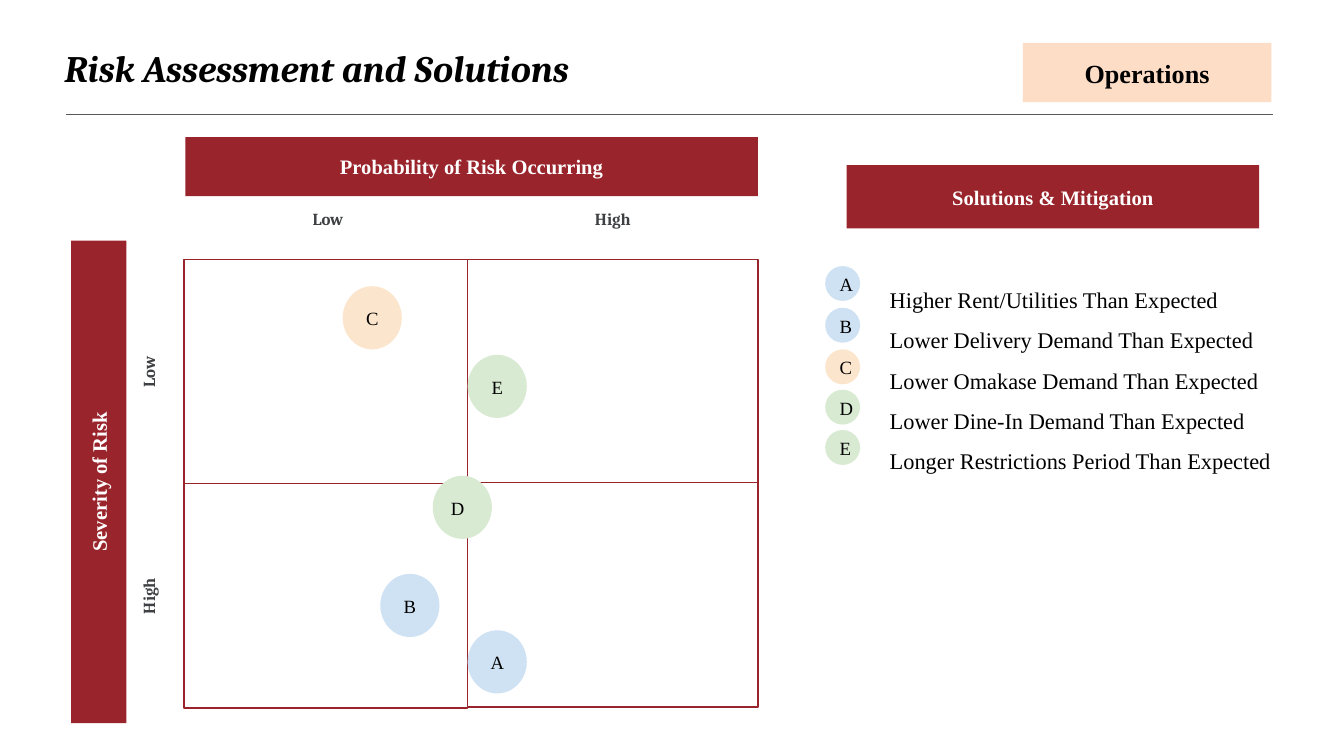
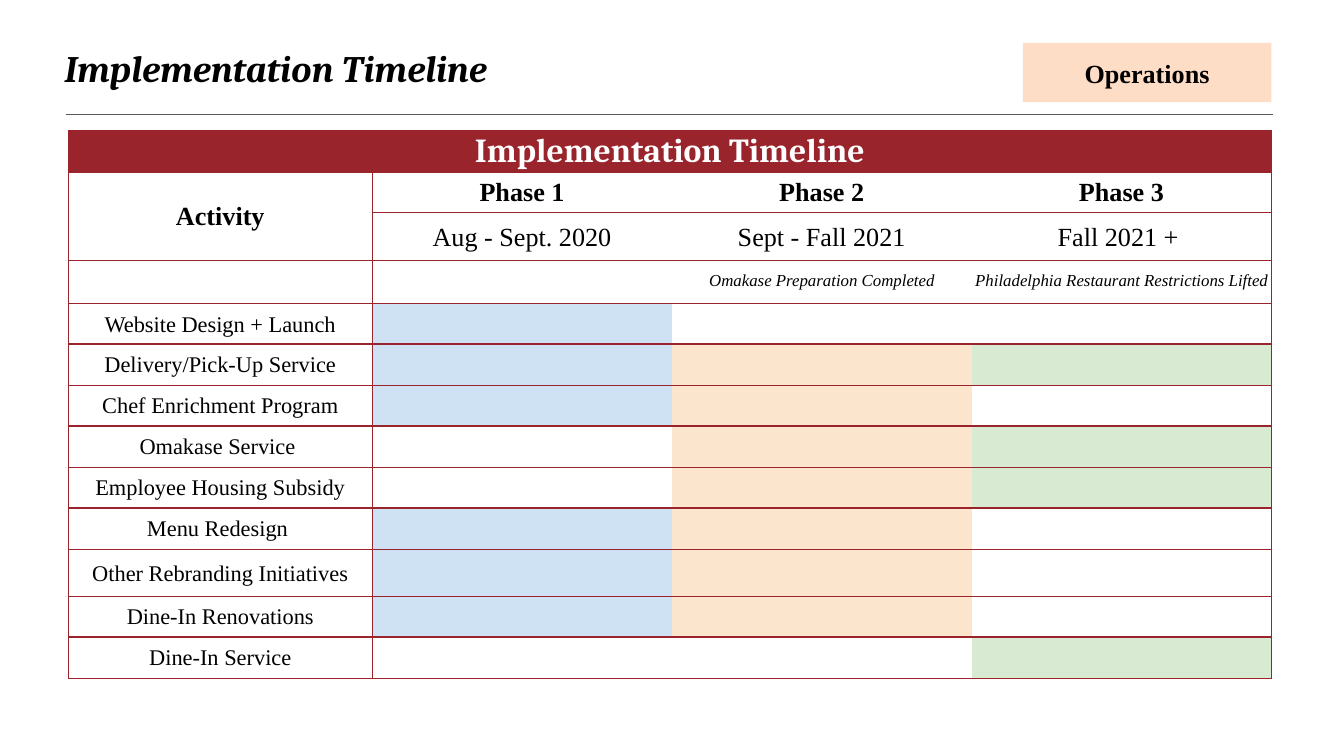
from lxml.etree import SubElement
from pptx import Presentation
from pptx.dml.color import RGBColor
from pptx.enum.shapes import MSO_CONNECTOR, MSO_SHAPE
from pptx.enum.text import MSO_ANCHOR, MSO_AUTO_SIZE, PP_ALIGN
from pptx.oxml.ns import qn
from pptx.util import Inches, Pt

COLORS = {
    "red": "99242C", "peach": "FEDDC7", "blue": "CFE2F3", "orange": "FCE5CD",
    "green": "D9EAD3", "white": "FFFFFF", "black": "000000", "label": "3E4043",
    "rule": "595959",
}
SERIF, HEADING = "Times New Roman", "Cambria"
NO_GRID_STYLE = "{2D5ABB26-0587-4C30-8999-92F81FD0307C}"

SECTION = "Operations"
RISKS = [
    ("A", "Higher Rent/Utilities Than Expected", "blue", (3.48, 4.69), 1.98),
    ("B", "Lower Delivery Demand Than Expected", "blue", (2.83, 4.27), 2.29),
    ("C", "Lower Omakase Demand Than Expected", "orange", (2.55, 2.13), 2.6),
    ("D", "Lower Dine-In Demand Than Expected", "green", (3.22, 3.54), 2.9),
    ("E", "Longer Restrictions Period Than Expected", "green", (3.48, 2.64), 3.2),
]
BANNERS = [
    ("Probability of Risk Occurring", (1.38, 1.02, 4.26, 0.44), 0),
    ("Severity of Risk", (-1.06, 3.38, 3.59, 0.41), 270),
    ("Solutions & Mitigation", (6.3, 1.23, 3.07, 0.47), 0),
]
AXIS_LABELS = [
    ("Low", (1.37, 1.55, 2.14, 0.29), 0),
    ("High", (3.49, 1.55, 2.14, 0.29), 0),
    ("Low", (0.38, 2.58, 1.67, 0.37), 270),
    ("High", (0.38, 4.25, 1.67, 0.37), 270),
]
QUADRANTS = [
    (1.37, 1.93, 2.16, 1.67),
    (3.48, 1.93, 2.16, 1.67),
    (1.37, 3.6, 2.11, 1.67),
    (3.48, 3.59, 2.16, 1.67),
]

TIMELINE_TITLE = "Implementation Timeline"
TIMELINE_HEADER = [
    [TIMELINE_TITLE, "", "", ""],
    ["Activity", "Phase 1", "Phase 2", "Phase 3"],
    ["", "Aug - Sept. 2020", "Sept - Fall 2021", "Fall 2021 + "],
    ["", "", "Omakase Preparation Completed", "Philadelphia Restaurant Restrictions Lifted"],
]
HEADER_FORMATS = [
    {"size": 18, "font": HEADING, "color": "white", "bold": True},
    {"size": 14, "bold": True},
    {"size": 14},
    {"size": 9, "italic": True},
]
ACTIVITIES = [
    ("Website Design + Launch", {1}),
    ("Delivery/Pick-Up Service", {1, 2, 3}),
    ("Chef Enrichment Program", {1, 2}),
    ("Omakase Service ", {2, 3}),
    ("Employee Housing Subsidy", {2, 3}),
    ("Menu Redesign ", {1, 2}),
    ("Other Rebranding Initiatives", {1, 2}),
    ("Dine-In Renovations", {1, 2}),
    ("Dine-In Service", {3}),
]
PHASE_COLORS = {1: "blue", 2: "orange", 3: "green"}
COLUMN_WIDTHS = [2.26, 2.23, 2.23, 2.23]
ROW_HEIGHTS = [0.31, 0.3, 0.36, 0.32] + [0.3, 0.31] * 3 + [0.35, 0.3, 0.31]


def rgb(name):
    return RGBColor.from_string(COLORS[name])


def write_text(frame, text, size=12, font=SERIF, color="black", bold=False,
               italic=False, align=PP_ALIGN.CENTER, spacing=None):
    for index, line in enumerate(text.split("\n")):
        paragraph = frame.paragraphs[0] if index == 0 else frame.add_paragraph()
        paragraph.alignment = align
        paragraph.space_before = Pt(0)
        if spacing:
            paragraph.line_spacing = spacing
        run = paragraph.add_run()
        run.text = line
        run.font.size = Pt(size)
        run.font.name = font
        run.font.bold = bold
        run.font.italic = italic
        run.font.color.rgb = rgb(color)


def set_frame(frame, inset, anchor=MSO_ANCHOR.MIDDLE):
    frame.word_wrap = True
    frame.auto_size = MSO_AUTO_SIZE.NONE
    frame.vertical_anchor = anchor
    frame.margin_left = frame.margin_right = Inches(inset)
    frame.margin_top = frame.margin_bottom = Inches(inset)


def place(shape, box):
    shape.left, shape.top, shape.width, shape.height = map(Inches, box)


def add_block(slide, box, fill, text="", inset=0, kind=MSO_SHAPE.RECTANGLE,
              line=None, rotation=0, **text_format):
    shape = slide.shapes.add_shape(kind, *map(Inches, box))
    shape.shadow.inherit = False
    shape.rotation = rotation
    shape.fill.solid()
    shape.fill.fore_color.rgb = rgb(fill)
    if line:
        shape.line.color.rgb = rgb(line)
        shape.line.width = Pt(0.75)
    else:
        shape.line.fill.background()
    if text:
        set_frame(shape.text_frame, inset)
        write_text(shape.text_frame, text, **text_format)


def add_marker(slide, letter, fill, box):
    align = PP_ALIGN.LEFT if letter == "D" else PP_ALIGN.CENTER
    add_block(slide, box, fill, letter, inset=0.07, kind=MSO_SHAPE.OVAL,
              size=10, align=align, spacing=1.06)


def add_slide(presentation, layout_index, title):
    slide = presentation.slides.add_slide(presentation.slide_layouts[layout_index])
    place(slide.shapes.title, (0.38, 0.25, 6.83, 0.54))
    set_frame(slide.shapes.title.text_frame, 0.1)
    write_text(slide.shapes.title.text_frame, title, size=20, font=HEADING,
               bold=True, italic=True, align=PP_ALIGN.LEFT, spacing=0.9)
    rule = slide.shapes.add_connector(
        MSO_CONNECTOR.STRAIGHT, Inches(0.49), Inches(0.85), Inches(9.47), Inches(0.85))
    rule.line.color.rgb = rgb("rule")
    rule.line.width = Pt(0.75)
    SubElement(rule._element.spPr, qn("a:effectLst"))
    add_block(slide, (7.61, 0.32, 1.85, 0.44), "peach", SECTION, inset=0.1, size=14, bold=True)
    return slide


def build_risk_slide(presentation):
    slide = add_slide(presentation, 1, "Risk Assessment and Solutions")
    risk_list = slide.placeholders[1]
    place(risk_list, (6.52, 1.93, 3.14, 1.61))
    set_frame(risk_list.text_frame, 0.1, MSO_ANCHOR.TOP)
    write_text(risk_list.text_frame, "\n".join(risk[1] for risk in RISKS),
               align=PP_ALIGN.LEFT, spacing=1.5)
    for paragraph in risk_list.text_frame.paragraphs:
        properties = paragraph._p.get_or_add_pPr()
        properties.set("marL", "0")
        properties.set("indent", "0")
        SubElement(properties, qn("a:buNone"))

    for text, box, rotation in BANNERS:
        add_block(slide, box, "red", text, rotation=rotation, size=11, color="white", bold=True)
    for text, box, rotation in AXIS_LABELS:
        label = slide.shapes.add_textbox(*map(Inches, box))
        label.rotation = rotation
        set_frame(label.text_frame, 0, MSO_ANCHOR.TOP)
        write_text(label.text_frame, text, size=9, font=HEADING, color="label", bold=True)
    for box in QUADRANTS:
        add_block(slide, box, "white", line="red")
    for letter, _, fill, position, legend_top in RISKS:
        add_marker(slide, letter, fill, (6.14, legend_top, 0.26, 0.26))
        add_marker(slide, letter, fill, (*position, 0.44, 0.47))


def set_borders(cell, sides):
    properties = cell._tc.get_or_add_tcPr()
    for side in "LRTB":
        line = SubElement(properties, qn(f"a:ln{side}"), w=str(Pt(0.75)))
        if side in sides:
            fill = SubElement(line, qn("a:solidFill"))
            SubElement(fill, qn("a:srgbClr"), val=COLORS["red"])
        else:
            SubElement(line, qn("a:noFill"))


def fill_cell(cell, text, fill, sides, is_note, text_format):
    cell.margin_left = cell.margin_right = cell.margin_top = Inches(0.01)
    cell.margin_bottom = Inches(0.1 if is_note else 0)
    cell.vertical_anchor = MSO_ANCHOR.BOTTOM if is_note else MSO_ANCHOR.MIDDLE
    set_borders(cell, sides)
    cell.fill.solid()
    cell.fill.fore_color.rgb = rgb(fill)
    if text:
        write_text(cell.text_frame, text, **text_format)
    else:
        SubElement(cell.text_frame.paragraphs[0]._p, qn("a:endParaRPr"), sz="900")


def build_timeline_slide(presentation):
    slide = add_slide(presentation, 5, TIMELINE_TITLE)
    rows = TIMELINE_HEADER + [[name, "", "", ""] for name, _ in ACTIVITIES]
    header_count = len(TIMELINE_HEADER)
    frame = slide.shapes.add_table(
        len(rows), len(COLUMN_WIDTHS), Inches(0.51), Inches(0.97),
        Inches(sum(COLUMN_WIDTHS)), Inches(sum(ROW_HEIGHTS)))
    table = frame.table
    table.first_row = table.horz_banding = False
    table._tbl.tblPr.find(qn("a:tableStyleId")).text = NO_GRID_STYLE
    for column, width in zip(table.columns, COLUMN_WIDTHS):
        column.width = Inches(width)
    for row, height in zip(table.rows, ROW_HEIGHTS):
        row.height = Inches(height)
    table.cell(0, 0).merge(table.cell(0, 3))
    table.cell(1, 0).merge(table.cell(2, 0))

    side_rules = ["LRTB", "LTB", "TB", "RTB"]
    for row_index, texts in enumerate(rows):
        is_header = row_index < header_count
        text_format = HEADER_FORMATS[row_index] if is_header else {}
        phases = set() if is_header else ACTIVITIES[row_index - header_count][1]
        for column_index, text in enumerate(texts):
            fill = PHASE_COLORS[column_index] if column_index in phases else "white"
            if row_index == 0:
                fill = "red"
            is_note = row_index == 3 and bool(text)
            fill_cell(table.cell(row_index, column_index), text, fill,
                      side_rules[column_index], is_note, text_format)


def main():
    presentation = Presentation()
    presentation.slide_width = Inches(10)
    presentation.slide_height = presentation.slide_width * 9 // 16
    build_risk_slide(presentation)
    build_timeline_slide(presentation)
    presentation.save("out.pptx")


if __name__ == "__main__":
    main()
